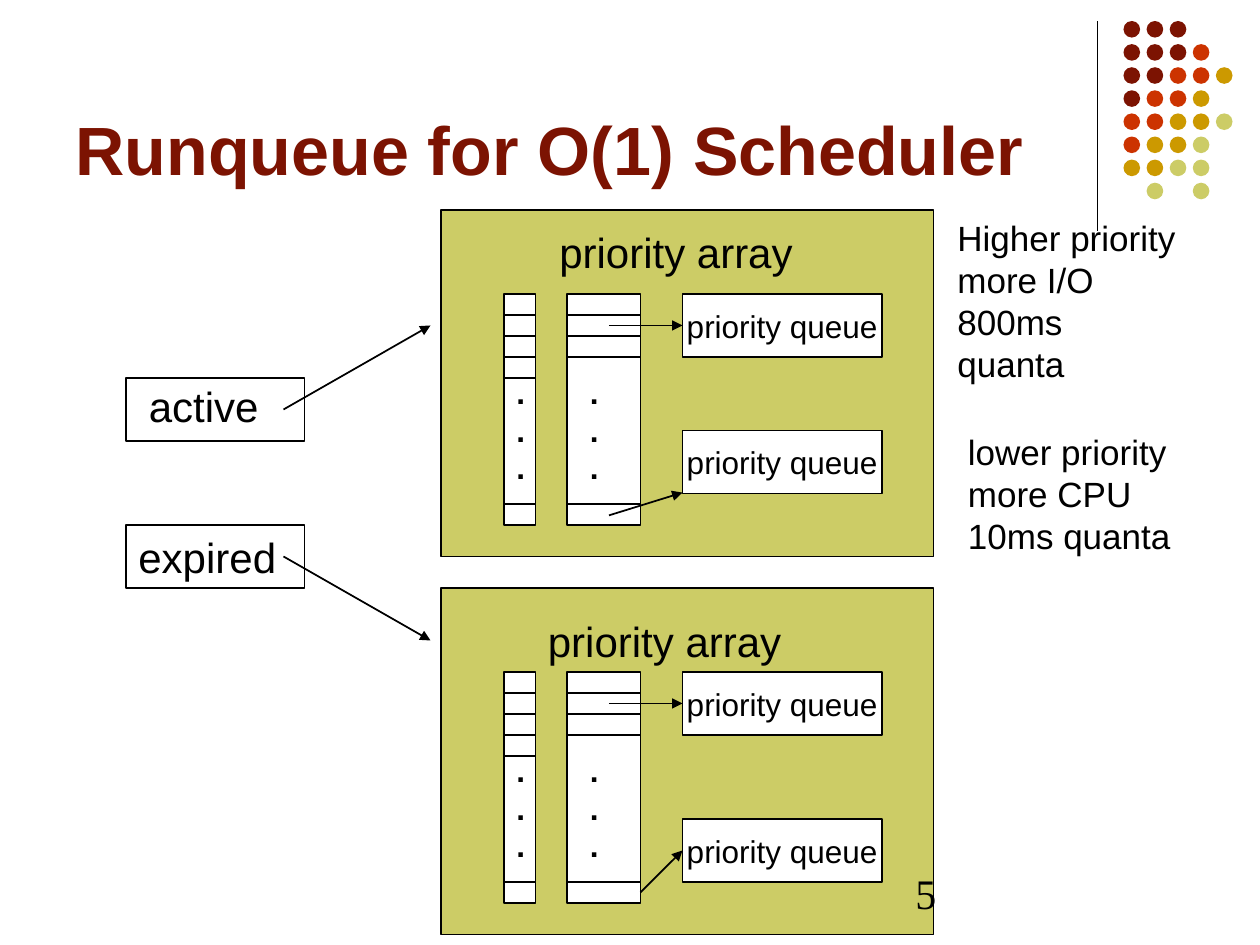
"""Build the slide on the runqueue of the O(1) scheduler."""
import pptx
import pptx.dml.color
import pptx.enum.shapes
import pptx.enum.text
import pptx.oxml
import pptx.oxml.ns
import pptx.util

Pt = pptx.util.Pt
SHAPE = pptx.enum.shapes.MSO_SHAPE
ANCHOR = pptx.enum.text.MSO_ANCHOR
ALIGN = pptx.enum.text.PP_ALIGN
COLORS = {"black": "000000", "white": "FFFFFF", "maroon": "7C1302",
          "red": "CC3300", "gold": "CC9900", "olive": "CCCC66"}
DOT_COLORS = {"m": "maroon", "r": "red", "g": "gold", "o": "olive"}
DOT_ROWS = ["mmm", "mmmr", "mmrrg", "mrrg", "rrggo", "rggo", "ggoo", " o o"]


def rgb(name):
    return pptx.dml.color.RGBColor.from_string(COLORS[name])


def write(tf, text, size, font="Arial", bold=False, color="black", align=ALIGN.LEFT):
    tf.text = text
    for p in tf.paragraphs:
        p.alignment = align
        p.font.name, p.font.size, p.font.bold = font, Pt(size), bold
        p.font.color.rgb = rgb(color)


def add_text(s, x, y, w, h, text, size, **style):
    tf = s.shapes.add_textbox(Pt(x), Pt(y), Pt(w), Pt(h)).text_frame
    tf.word_wrap = False
    write(tf, text, size, **style)


def add_shape(s, x, y, w, h, fill=None, kind=SHAPE.RECTANGLE, outlined=True):
    sp = s.shapes.add_shape(kind, Pt(x), Pt(y), Pt(w), Pt(h))
    sp.shadow.inherit = False
    if fill:
        sp.fill.solid()
        sp.fill.fore_color.rgb = rgb(fill)
    else:
        sp.fill.background()
    if outlined:
        sp.line.color.rgb = rgb("black")
        sp.line.width = Pt(1)
    else:
        sp.line.fill.background()
    return sp


def add_line(s, x1, y1, x2, y2, width=1, arrow=False, target=None):
    cn = s.shapes.add_connector(pptx.enum.shapes.MSO_CONNECTOR.STRAIGHT,
                                Pt(x1), Pt(y1), Pt(x2), Pt(y2))
    cn.line.color.rgb = rgb("black")
    cn.line.width = Pt(width)
    if arrow:
        ln = cn.line._get_or_add_ln()
        ln.append(pptx.oxml.parse_xml(
            f'<a:tailEnd {pptx.oxml.ns.nsdecls("a")} type="triangle"/>'))
    cn._element.spPr.append(pptx.oxml.parse_xml(
        f'<a:effectLst {pptx.oxml.ns.nsdecls("a")}/>'))
    if target is not None:
        cn.end_connect(target, 1)


def add_dot_grid(s):
    add_line(s, 627, 12.2, 627, 131.8, width=0.75)
    for row, codes in enumerate(DOT_ROWS):
        for col, code in enumerate(codes):
            if code in DOT_COLORS:
                add_shape(s, 642 + 13.2 * col, 12 + 13.2 * row, 9.5, 9.5,
                          DOT_COLORS[code], SHAPE.OVAL, outlined=False)


def add_column(s, x, y, w, rules, text_x):
    add_shape(s, x, y, w, 132, "white")
    for dy in rules:
        add_line(s, x, y + dy, x + w, y + dy)
    add_text(s, text_x, y + 41.5, 19.4, 72, ".\n.\n.", 18, bold=True)


def add_queue(s, y):
    sp = add_shape(s, 390, y, 114, 36, "white")
    sp.text_frame.word_wrap = False
    sp.text_frame.vertical_anchor = ANCHOR.MIDDLE
    write(sp.text_frame, "priority queue", 18, align=ALIGN.CENTER)
    return sp


def add_priority_array(s, top, label_x, label_y, low_queue_y):
    add_shape(s, 252, top, 281.5, 198, "olive")
    add_text(s, label_x, label_y, 147.6, 36, "priority array", 24)
    y = top + 48
    add_column(s, 288, y, 18, (12, 24, 36, 48, 120), 288)
    add_column(s, 324, y, 42, (12, 24, 36, 120), 330)
    high = add_queue(s, y)
    low = add_queue(s, low_queue_y)
    add_line(s, 348, y + 18, 390, y + 18, arrow=True, target=high)
    return low


def add_pointer(s, y, text, text_x, text_y, text_w, end_y):
    add_shape(s, 72, y, 102, 36)
    add_text(s, text_x, text_y, text_w, 36, text, 24)
    add_line(s, 162, y + 18, 246, end_y, arrow=True)


def main():
    prs = pptx.Presentation()
    prs.slide_width, prs.slide_height = Pt(720), Pt(540)
    s = prs.slides.add_slide(prs.slide_layouts[5])
    add_dot_grid(s)

    title = s.shapes.title
    title.left, title.top, title.width, title.height = Pt(36), Pt(9.5), Pt(594), Pt(102)
    title.text_frame.vertical_anchor = ANCHOR.BOTTOM
    write(title.text_frame, "Runqueue for O(1) Scheduler", 39, bold=True, color="maroon")

    add_priority_array(s, 120, 312.5, 126, 246)
    add_line(s, 348, 294.5, 390, 281.5, arrow=True)
    low = add_priority_array(s, 336, 306, 348, 468)
    add_line(s, 366, 510, 390, 486, arrow=True, target=low)

    add_pointer(s, 216, "active", 78, 214, 77, 186)
    add_pointer(s, 300, "expired", 72, 300, 93, 366)

    add_text(s, 540, 120, 141, 79, "Higher priority\vmore I/O\n800ms quanta", 20)
    add_text(s, 546, 242.5, 130.5, 79, "lower priority\vmore CPU\n10ms quanta", 20)
    add_text(s, 516, 492, 26.5, 36, "5", 24, font="Times New Roman")
    prs.save("out.pptx")


if __name__ == "__main__":
    main()
